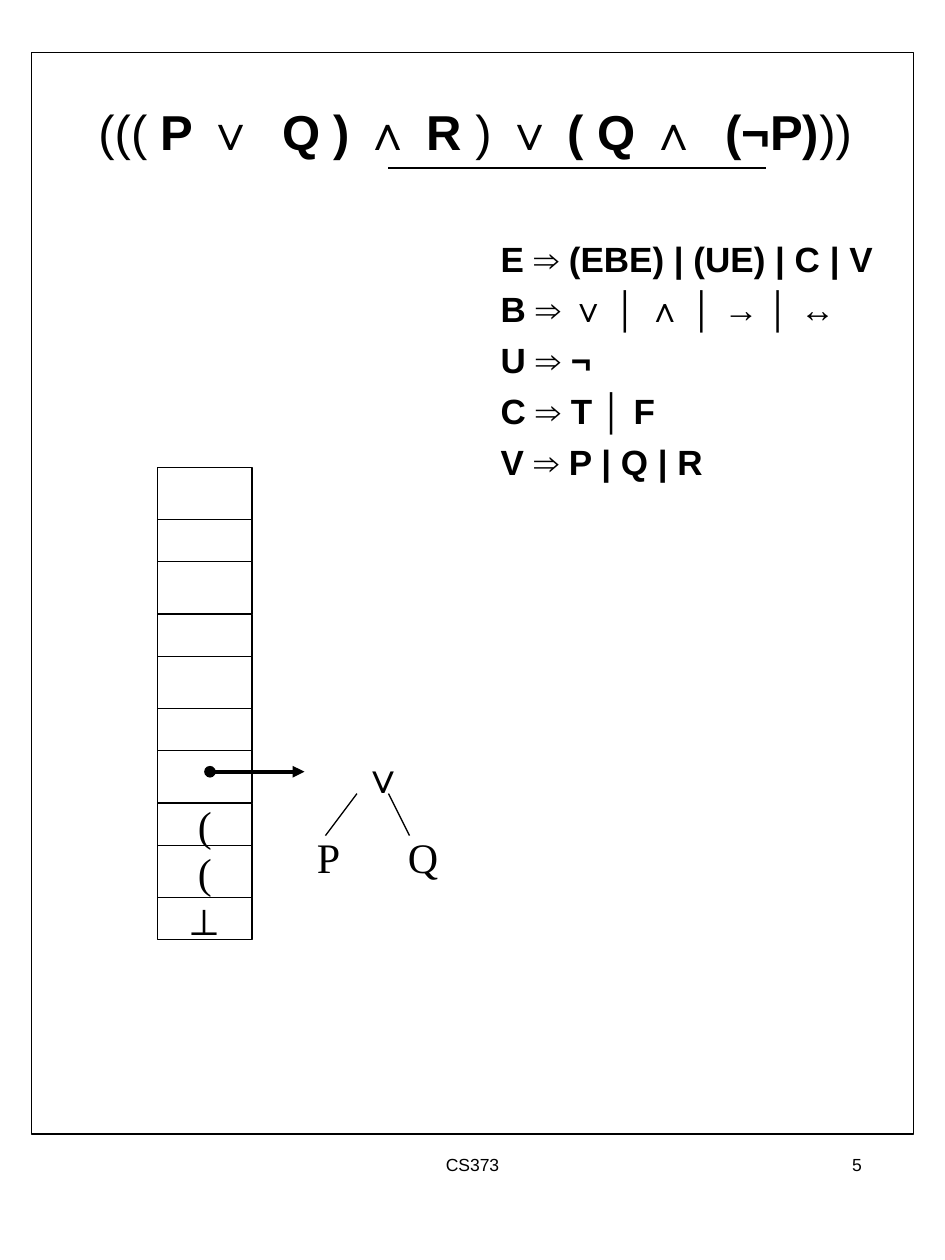
from pptx import Presentation
from pptx.dml.color import RGBColor
from pptx.enum.shapes import MSO_CONNECTOR, MSO_SHAPE
from pptx.enum.text import MSO_ANCHOR, PP_ALIGN
from pptx.oxml.ns import qn
from pptx.util import Pt
from lxml import etree

RECT = MSO_SHAPE.RECTANGLE
LINE = MSO_CONNECTOR.STRAIGHT
TOP, MID = MSO_ANCHOR.TOP, MSO_ANCHOR.MIDDLE
LEFT, MIDST, RIGHT = PP_ALIGN.LEFT, PP_ALIGN.CENTER, PP_ALIGN.RIGHT
SANS, SERIF = "Arial", "Times New Roman"
INK = "000000"


def tint(code):
    return RGBColor.from_string(code)


def add_run(para, text, size, font=SANS, bold=False):
    run = para.add_run()
    run.text = text
    run.font.size = Pt(size)
    run.font.name = font
    run.font.bold = bold
    run.font.color.rgb = tint(INK)


def add_text(slide, box, text, size, font=SANS, align=LEFT, wrap=False):
    frame = slide.shapes.add_textbox(*map(Pt, box)).text_frame
    frame.word_wrap = wrap
    frame.vertical_anchor = TOP
    para = frame.paragraphs[0]
    para.alignment = align
    if text:
        add_run(para, text, size, font)
    return frame


def add_rect(slide, box):
    shape = slide.shapes.add_shape(RECT, *map(Pt, box))
    shape.shadow.inherit = False
    shape.fill.background()
    shape.line.color.rgb = tint(INK)
    shape.line.width = Pt(0.75)
    return shape


def add_line(slide, start, end, width=0.75, head=None, tail=None):
    line = slide.shapes.add_connector(LINE, *map(Pt, start + end))
    line.line.color.rgb = tint(INK)
    line.line.width = Pt(width)
    props = line.line._get_or_add_ln()
    for tag, kind in (("a:headEnd", head), ("a:tailEnd", tail)):
        if kind:
            etree.SubElement(props, qn(tag), type=kind)
    etree.SubElement(line._element.spPr, qn("a:effectLst"))


def add_title(slide, box):
    left, top, width, height = box
    frame = add_text(slide, box, "", 28, align=MIDST, wrap=True)
    frame.vertical_anchor = MID
    parts = (("((( ", False), ("P ∨  Q ) ∧ R ", True), (") ", False),
             ("∨ ( Q ∧  (¬P)", True), ("))", False))
    for text, bold in parts:
        add_run(frame.paragraphs[0], text, 28, bold=bold)
    base = top + height - 12
    add_line(slide, (left + 180, base), (left + 396, base))


def add_rules(slide, box):
    frame = add_text(slide, box, "", 20, wrap=True)
    rules = ("E ⇒ (EBE) | (UE) | C | V", "B ⇒ ∨ │ ∧ │ → │ ↔",
             "U ⇒ ¬", "C ⇒ T │ F", "V ⇒ P | Q | R")
    for i, rule in enumerate(rules):
        para = frame.add_paragraph() if i else frame.paragraphs[0]
        para.space_before = Pt(5)
        props = para._p.get_or_add_pPr()
        props.set("marL", str(Pt(27)))
        props.set("indent", str(-Pt(27)))
        add_run(para, rule, 20, bold=True)


def add_stack(slide, box):
    left, top, width, height = box
    labels = [None] * 7 + [("(", SERIF), ("(", SERIF), ("⊥", SANS)]
    pair = height / (len(labels) / 2)
    tall = pair * 5 / 9
    for i, label in enumerate(labels):
        odd = i % 2
        y = top + i // 2 * pair + odd * tall
        cell = add_rect(slide, (left, y, width, pair - tall if odd else tall))
        if label:
            text, font = label
            frame = cell.text_frame
            frame.word_wrap = False
            frame.vertical_anchor = MID
            frame.paragraphs[0].alignment = MIDST
            add_run(frame.paragraphs[0], text, 24, font)
    y = top + 3 * pair + 12
    add_line(slide, (left + 30, y), (left + 84, y), 2.25, "oval", "triangle")


def add_tree(slide, box):
    left, top, width, height = box
    nodes = (("∨", 26, 0, 22, SANS), ("P", 0, 45.5, 27, SERIF),
             ("Q", 52, 45.5, 32, SERIF))
    for text, x, y, wide, font in nodes:
        add_text(slide, (left + x, top + y, wide, 36), text, 24, font)
    for start, end in ((30, 12), (48, 60)):
        add_line(slide, (left + start, top + 27.5), (left + end, top + 51.5))


def add_foot(slide, box):
    left, top, width, height = box
    add_text(slide, (left, top, 171, height), "CS373", 10, align=MIDST, wrap=True)
    add_text(slide, (left + width - 112, top, 112, height), "5", 10,
             align=RIGHT, wrap=True)


def main():
    deck = Presentation()
    deck.slide_width, deck.slide_height = Pt(540), Pt(720)
    slide = deck.slides.add_slide(deck.slide_layouts[6])
    add_rect(slide, (18, 30, 504, 618))
    add_title(slide, (42, 42, 459, 66))
    add_rules(slide, (279, 132, 237, 168))
    add_stack(slide, (90, 267, 54, 270))
    add_tree(slide, (174, 426, 84, 81.5))
    add_foot(slide, (184.5, 656, 315, 48))
    deck.save("out.pptx")


if __name__ == "__main__":
    main()
